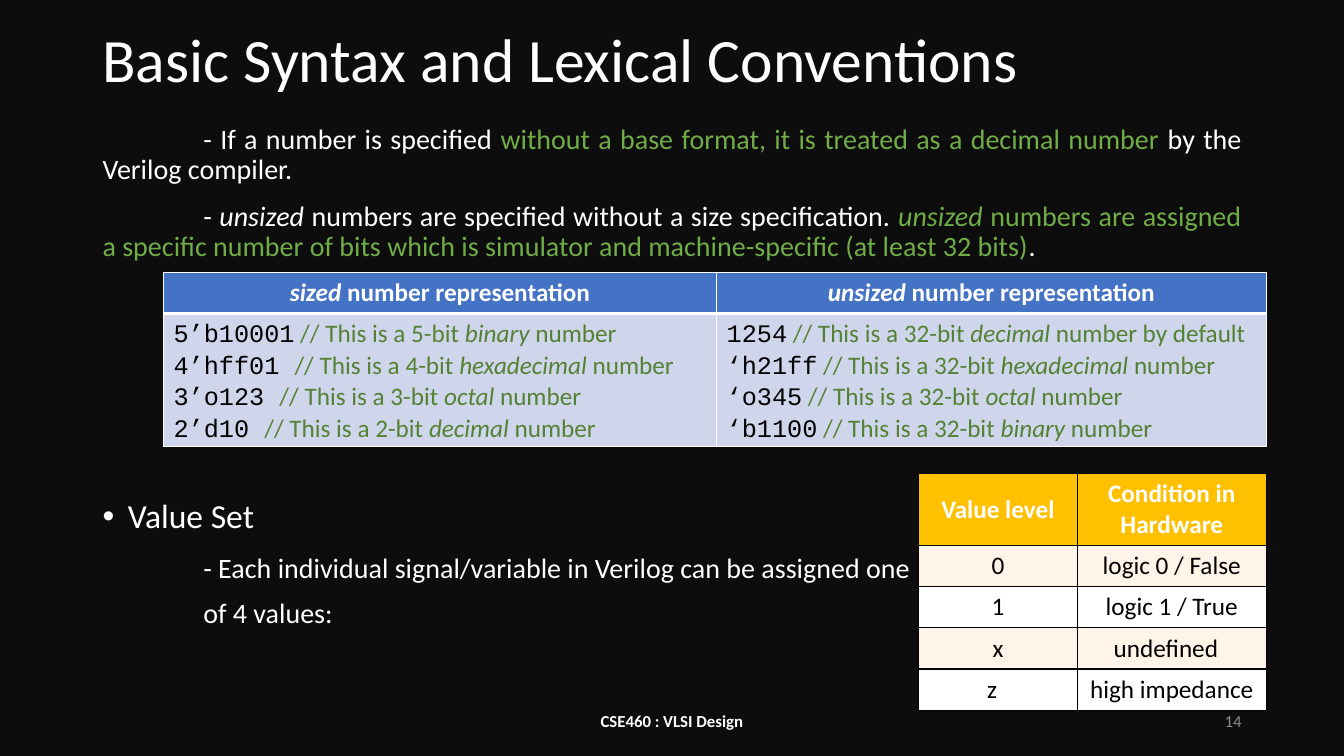
from dataclasses import dataclass

from lxml import etree
from pptx import Presentation
from pptx.dml.color import RGBColor
from pptx.enum.text import MSO_ANCHOR, MSO_AUTO_SIZE, PP_ALIGN
from pptx.oxml.ns import qn
from pptx.util import Cm, Pt

LEFT, CENTER, RIGHT, JUSTIFY = PP_ALIGN.LEFT, PP_ALIGN.CENTER, PP_ALIGN.RIGHT, PP_ALIGN.JUSTIFY
MIDDLE, TOP = MSO_ANCHOR.MIDDLE, MSO_ANCHOR.TOP


@dataclass(frozen=True)
class Theme:
    font: str = "Calibri"
    code_font: str = "Courier New"
    background: str = "0D0D0D"
    white: str = "FFFFFF"
    black: str = "000000"
    grey: str = "8C8C8C"
    highlight: str = "70AD47"
    comment: str = "548235"
    blue: str = "4472C4"
    pale_blue: str = "CFD5EA"
    gold: str = "FFC000"
    cream: str = "FFF4E7"
    title_size: int = 44
    heading_size: int = 24
    body_size: int = 20
    table_size: int = 18
    footer_size: int = 12


theme = Theme()


def add_runs(paragraph, runs, size, bold=False):
    """Add (text, colour, italic, font) runs; italic and font may be left out."""
    for text, colour, *style in runs:
        run = paragraph.add_run()
        run.text = text
        run.font.size = Pt(size)
        run.font.bold = bold
        run.font.italic = bool(style and style[0])
        run.font.name = style[1] if len(style) > 1 else theme.font
        run.font.color.rgb = RGBColor.from_string(colour)


def format_cell(cell, fill, border, top=1, bottom=1):
    """Set the four borders (widths in points), the fill and the anchor."""
    properties = cell._tc.get_or_add_tcPr()
    for side, width in (("L", 1), ("R", 1), ("T", top), ("B", bottom)):
        line = etree.SubElement(properties, qn(f"a:ln{side}"), w=str(Pt(width)))
        solid = etree.SubElement(line, qn("a:solidFill"))
        etree.SubElement(solid, qn("a:srgbClr"), val=border)
    cell.fill.solid()
    cell.fill.fore_color.rgb = RGBColor.from_string(fill)
    cell.vertical_anchor = MIDDLE


presentation = Presentation()
presentation.slide_width, presentation.slide_height = Cm(33.87), Cm(19.05)
slide = presentation.slides.add_slide(presentation.slide_layouts[1])
slide.background.fill.solid()
slide.background.fill.fore_color.rgb = RGBColor.from_string(theme.background)

# Title and body placeholders
title, body = slide.placeholders
for shape, top, height, anchor in ((title, 0.38, 2.41, MIDDLE), (body, 2.79, 14.86, TOP)):
    shape.left, shape.top, shape.width, shape.height = Cm(2.33), Cm(top), Cm(29.21), Cm(height)
    shape.text_frame.word_wrap = True
    shape.text_frame.auto_size = MSO_AUTO_SIZE.NONE
    shape.text_frame.vertical_anchor = anchor
body.text_frame.margin_top = Cm(0.36)

heading = title.text_frame.paragraphs[0]
heading.alignment, heading.line_spacing = LEFT, 0.9
add_runs(heading, [("Basic Syntax and Lexical Conventions", theme.white)], theme.title_size)

# Each entry: runs, size, alignment, space before, left margin, first-line indent, bullet
body_paragraphs = [
    ([("- If a number is specified ", theme.white),
      ("without a base format, it is treated as a decimal number ", theme.highlight),
      ("by the Verilog compiler.", theme.white)],
     theme.body_size, JUSTIFY, 0, 0, 2.54, False),
    ([("- ", theme.white), ("unsized ", theme.white, True),
      ("numbers are specified without a size specification. ", theme.white),
      ("unsized ", theme.highlight, True),
      ("numbers are assigned a specific number of bits which is simulator "
       "and machine-specific (at least 32 bits)", theme.highlight),
      (".", theme.white)],
     theme.body_size, JUSTIFY, 12, 0, 2.54, False),
    ([("Value Set", theme.white)], theme.heading_size, LEFT, 169, 0.64, -0.64, True),
    ([("- Each individual signal/variable in Verilog can be assigned one", theme.white)],
     theme.body_size, LEFT, 13, 2.54, 0, False),
    ([("of 4 values:", theme.white)], theme.body_size, LEFT, 11, 2.54, 0, False),
]
for index, (runs, size, alignment, before, margin, indent, bullet) in enumerate(body_paragraphs):
    paragraph = body.text_frame.add_paragraph() if index else body.text_frame.paragraphs[0]
    paragraph.alignment, paragraph.line_spacing = alignment, 0.9
    paragraph.space_before = Pt(before)
    properties = paragraph._p.get_or_add_pPr()
    properties.set("marL", str(Cm(margin)))
    properties.set("indent", str(Cm(indent)))
    if bullet:
        colour = etree.SubElement(properties, qn("a:buClr"))
        etree.SubElement(colour, qn("a:srgbClr"), val=theme.white)
        etree.SubElement(properties, qn("a:buFont"), typeface="Arial")
        etree.SubElement(properties, qn("a:buChar"), char="•")
    else:
        etree.SubElement(properties, qn("a:buNone"))
    add_runs(paragraph, runs, size)

# Footer and slide number
for text, left, width, alignment, colour, bold in (
    ("14", 23.92, 7.62, RIGHT, theme.grey, False),
    ("CSE460 : VLSI Design", 11.22, 11.43, CENTER, theme.white, True),
):
    box = slide.shapes.add_textbox(Cm(left), Cm(17.65), Cm(width), Cm(1.02))
    box.text_frame.word_wrap = True
    box.text_frame.vertical_anchor = MIDDLE
    paragraph = box.text_frame.paragraphs[0]
    paragraph.alignment = alignment
    add_runs(paragraph, [(text, colour)], theme.footer_size, bold)

# Number representation table: code, comment start, base, comment end
number_columns = [
    ("sized", 13.94, [
        ("5’b10001", " // This is a 5-bit ", "binary", " number"),
        ("4’hff01 ", "// This is a 4-bit ", "hexadecimal", " number"),
        ("3’o123 ", "// This is a 3-bit ", "octal", " number"),
        ("2’d10 ", "// This is a 2-bit ", "decimal", " number"),
    ]),
    ("unsized", 13.85, [
        ("1254", " // This is a 32-bit ", "decimal", " number by default"),
        ("‘h21ff", " // This is a 32-bit ", "hexadecimal", " number"),
        ("‘o345", " // This is a 32-bit ", "octal", " number"),
        ("‘b1100", " // This is a 32-bit ", "binary", " number"),
    ]),
]
number_table = slide.shapes.add_table(2, 2, Cm(4.12), Cm(6.86), Cm(27.79), Cm(4.4)).table
number_table.horz_banding = False
number_table.rows[0].height, number_table.rows[1].height = Cm(1.04), Cm(3.36)
for column, (kind, width, examples) in enumerate(number_columns):
    number_table.columns[column].width = Cm(width)
    header, listing = number_table.cell(0, column), number_table.cell(1, column)
    format_cell(header, theme.blue, theme.white, bottom=3)
    format_cell(listing, theme.pale_blue, theme.white, top=3)
    paragraph = header.text_frame.paragraphs[0]
    paragraph.alignment = CENTER
    add_runs(paragraph, [(kind, theme.white, True), (" number representation", theme.white)],
             theme.table_size, True)
    for index, (code, start, base, end) in enumerate(examples):
        paragraph = listing.text_frame.add_paragraph() if index else listing.text_frame.paragraphs[0]
        add_runs(paragraph, [(code, theme.black, False, theme.code_font), (start, theme.comment),
                             (base, theme.comment, True), (end, theme.comment)], theme.table_size)

# Value level table
value_rows = [
    ("Value level", "Condition in Hardware"),
    ("0", "logic 0 / False"),
    ("1", "logic 1 / True"),
    ("x", "undefined"),
    ("z", "high impedance"),
]
value_table = slide.shapes.add_table(5, 2, Cm(23.15), Cm(11.94), Cm(8.76), Cm(5.96)).table
value_table.horz_banding = False
value_table.columns[0].width, value_table.columns[1].width = Cm(4), Cm(4.76)
for row, texts in enumerate(value_rows):
    is_header = row == 0
    value_table.rows[row].height = Cm(1.8 if is_header else 1.04)
    fill = theme.gold if is_header else (theme.cream if row % 2 else theme.white)
    for column, text in enumerate(texts):
        cell = value_table.cell(row, column)
        format_cell(cell, fill, theme.black)
        if text in ("undefined", "z"):
            cell.margin_right = Cm(0.55)
        paragraph = cell.text_frame.paragraphs[0]
        paragraph.alignment = CENTER
        add_runs(paragraph, [(text, theme.white if is_header else theme.black)],
                 theme.table_size, is_header)

presentation.save("out.pptx")
